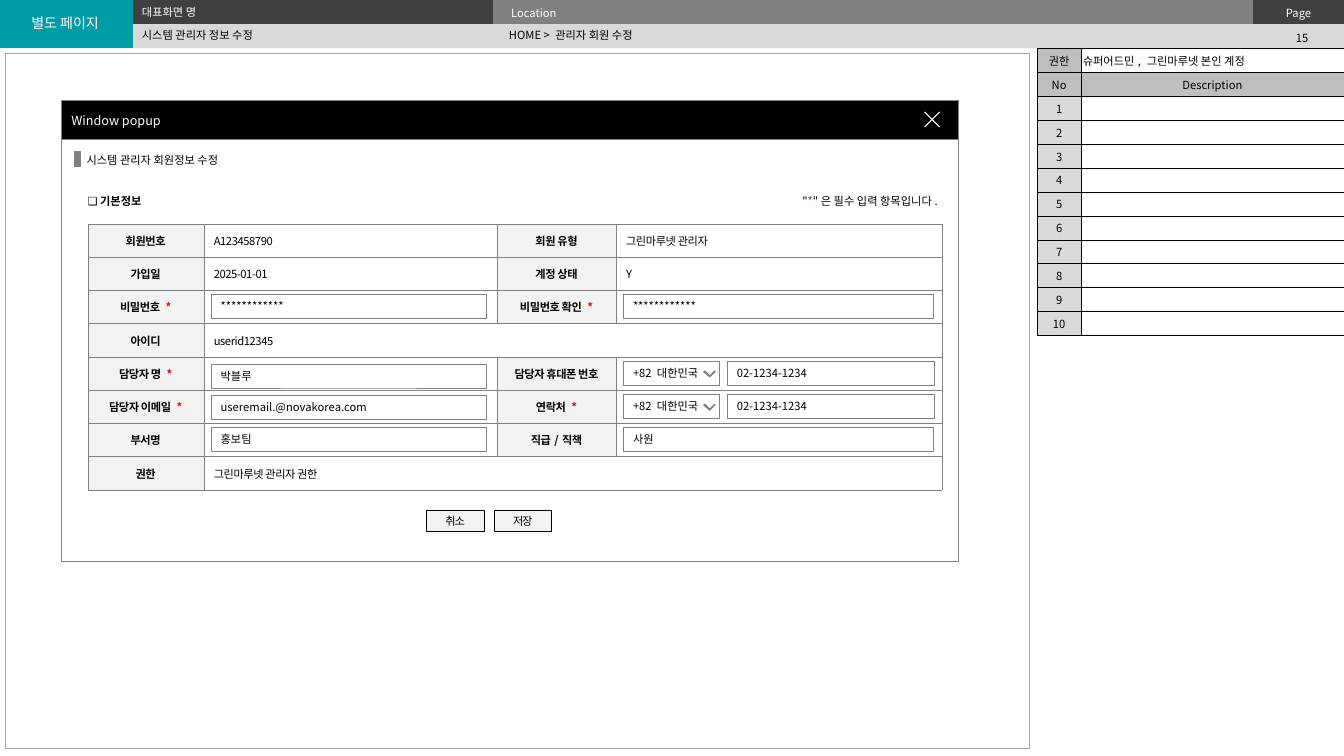
from lxml import etree
from pptx import Presentation
from pptx.dml.color import RGBColor
from pptx.enum.shapes import MSO_CONNECTOR, MSO_SHAPE
from pptx.enum.text import MSO_ANCHOR, PP_ALIGN
from pptx.oxml.ns import qn
from pptx.util import Inches, Pt

FONT = "Noto Sans CJK KR"
NO_STYLE = "{2D5ABB26-0587-4C30-8999-92F81FD0307C}"
LEFT, CENTER, RIGHT = PP_ALIGN.LEFT, PP_ALIGN.CENTER, PP_ALIGN.RIGHT
TOP, MIDDLE = MSO_ANCHOR.TOP, MSO_ANCHOR.MIDDLE
RECTANGLE, STRAIGHT = MSO_SHAPE.RECTANGLE, MSO_CONNECTOR.STRAIGHT

BLACK = RGBColor(0x00, 0x00, 0x00)
WHITE = RGBColor(0xFF, 0xFF, 0xFF)
RED = RGBColor(0xFF, 0x00, 0x00)
TEAL = RGBColor(0x00, 0x9C, 0xA6)
CHARCOAL = RGBColor(0x40, 0x40, 0x40)
ARROW = RGBColor(0x5F, 0x5F, 0x5F)
GRAY = RGBColor(0x80, 0x80, 0x80)
FRAME = RGBColor(0xA6, 0xA6, 0xA6)
SILVER = RGBColor(0xBF, 0xBF, 0xBF)
PALE = RGBColor(0xD9, 0xD9, 0xD9)
LABEL = RGBColor(0xF2, 0xF2, 0xF2)


def write(frame, text, color=BLACK, size=8, bold=False, align=LEFT, spacing=0):
    """Fill a text frame; a single asterisk is the red mark of a required field."""
    frame.word_wrap = True
    paragraph = frame.paragraphs[0]
    paragraph.alignment = align
    for part in text.partition("*") if text.count("*") == 1 else [text]:
        if not part:
            continue
        run = paragraph.add_run()
        run.text = part
        font = run.font
        font.name, font.size, font.bold = FONT, Pt(size), bold
        font.color.rgb = RED if part == "*" else color
        properties = run._r.get_or_add_rPr()
        properties.set("spc", str(spacing))
        etree.SubElement(properties, qn("a:ea")).set("typeface", FONT)
    if not text:
        paragraph._p.get_or_add_endParaRPr().set("sz", str(size * 100))


def box(left, top, width, height, text="", fill=WHITE, line=GRAY, weight=0.25,
        margin=0.1, **style):
    shape = slide.shapes.add_shape(
        RECTANGLE, Inches(left), Inches(top), Inches(width), Inches(height))
    shape.shadow.inherit = False
    shape.fill.solid()
    shape.fill.fore_color.rgb = fill
    shape.line.color.rgb = line
    shape.line.width = Pt(weight)
    frame = shape.text_frame
    frame.vertical_anchor = MIDDLE
    frame.margin_left = frame.margin_right = Inches(margin)
    frame.margin_top = frame.margin_bottom = Inches(margin / 2)
    write(frame, text, **style)


prs = Presentation()
prs.slide_width, prs.slide_height = Inches(13.33), Inches(7.5)
slide = prs.slides.add_slide(prs.slide_layouts[6])

# Screen frame and popup window
POPUP_LEFT, POPUP_WIDTH = 0.61, 8.9
box(0.05, 0.53, 10.16, 6.89, line=FRAME)
box(POPUP_LEFT, 1.38, POPUP_WIDTH, 4.19, weight=0.5)
box(POPUP_LEFT, 1, POPUP_WIDTH, 0.38, "Window popup", fill=BLACK, weight=0.5,
    color=WHITE, size=9)

# Contents of the header, the description panel and the member form
header = [
    [("", TEAL, LEFT, False), ("", CHARCOAL, LEFT, False),
     ("Location", GRAY, LEFT, False), ("Page", CHARCOAL, CENTER, False)],
    [("", PALE, LEFT, False)] * 4,
]
description = [
    [("권한", SILVER, CENTER, False),
     ("슈퍼어드민, 그린마루넷 본인 계정", WHITE, LEFT, False)],
    [("No", SILVER, CENTER, False), ("Description", SILVER, CENTER, False)],
]
description += [[(str(number), PALE, CENTER, False), ("", WHITE, LEFT, False)]
                for number in range(1, 11)]
member_fields = [
    ("회원번호", "A123458790", "회원 유형", "그린마루넷 관리자"),
    ("가입일", "2025-01-01", "계정 상태", "Y"),
    ("비밀번호 *", "", "비밀번호 확인 *", ""),
    ("아이디", "userid12345"),
    ("담당자 명 *", "", "담당자 휴대폰 번호", ""),
    ("담당자 이메일 *", "", "연락처 *", ""),
    ("부서명", "", "직급/직책", ""),
    ("권한", "그린마루넷 관리자 권한"),
]
member = [[(text, WHITE, LEFT, False) if column % 2 else (text, LABEL, CENTER, True)
           for column, text in enumerate(fields)] for fields in member_fields]

# Tables: left, top, columns, row height, margins, border, text colour, spacing
FORM_LEFT, FORM_TOP, FORM_ROW = 0.87, 2.22, 0.33
FORM_COLUMNS = [1.15, 2.91, 1.18, 3.23]
tables = [
    (header, 0, 0, [1.32, 3.57, 7.54, 0.9], 0.23, (0.18, 0.04), None, WHITE, 0),
    (description, 10.29, 0.48, [0.43, 2.61], 2.85 / 12, (0.02, 0.03),
     (BLACK, 0.5), BLACK, 0),
    (member, FORM_LEFT, FORM_TOP, FORM_COLUMNS, FORM_ROW, (0.1, 0.05),
     (GRAY, 0.25), BLACK, -30),
]
for rows, left, top, columns, row_height, margins, border, color, spacing in tables:
    table = slide.shapes.add_table(
        len(rows), len(columns), Inches(left), Inches(top),
        Inches(sum(columns)), Inches(row_height * len(rows))).table
    table.first_row = table.horz_banding = False
    table._tbl.tblPr.find(qn("a:tableStyleId")).text = NO_STYLE
    for column, width in zip(table.columns, columns):
        column.width = Inches(width)
    for row_index, row in enumerate(rows):
        table.rows[row_index].height = Inches(row_height)
        for column_index in range(len(columns)):
            cell = table.cell(row_index, column_index)
            text, fill, align, bold = (
                row[column_index] if column_index < len(row) else ("", WHITE, LEFT, False))
            cell.margin_left = cell.margin_right = Inches(margins[0])
            cell.margin_top = cell.margin_bottom = Inches(margins[1])
            cell.vertical_anchor = MIDDLE
            cell.fill.solid()
            cell.fill.fore_color.rgb = fill
            write(cell.text_frame, text, color, bold=bold, align=align, spacing=spacing)
            if border:
                properties = cell._tc.get_or_add_tcPr()
                for position, side in enumerate(("lnL", "lnR", "lnT", "lnB")):
                    edge = etree.Element(qn("a:" + side), w=str(Pt(border[1])))
                    solid = etree.SubElement(edge, qn("a:solidFill"))
                    etree.SubElement(solid, qn("a:srgbClr")).set("val", str(border[0]))
                    properties.insert(position, edge)
        if len(row) < len(columns):
            table.cell(row_index, len(row) - 1).merge(
                table.cell(row_index, len(columns) - 1))
    if rows is header:
        table.cell(0, 0).merge(table.cell(1, 0))

# Header texts and popup headings
captions = [
    (0.08, 0.09, 1.13, 0.27, "별도 페이지", TOP, dict(color=WHITE, size=10, align=CENTER)),
    (1.31, 0, 3.62, 0.24, "대표화면 명", MIDDLE, dict(color=WHITE)),
    (1.31, 0.24, 3.63, 0.22, "시스템 관리자 정보 수정", MIDDLE, {}),
    (4.95, 0.24, 3.63, 0.22, "HOME > 관리자 회원 수정", MIDDLE, {}),
    (12.48, 0.26, 0.87, 0.24, "15", TOP, dict(align=CENTER)),
    (0.76, 1.47, 2.41, 0.24, "시스템 관리자 회원정보 수정", TOP, {}),
    (0.77, 1.88, 1.2, 0.24, "❏ 기본정보", TOP, dict(bold=True)),
    (7.2, 1.88, 2.2, 0.24, '"*"은 필수 입력 항목입니다.', TOP, dict(align=RIGHT)),
]
for left, top, width, height, text, anchor, style in captions:
    caption = slide.shapes.add_textbox(
        Inches(left), Inches(top), Inches(width), Inches(height))
    caption.text_frame.vertical_anchor = anchor
    write(caption.text_frame, text, **style)

# Heading bar
heading_bar = slide.shapes.add_connector(
    STRAIGHT, Inches(0.77), Inches(1.5), Inches(0.77), Inches(1.66))
heading_bar.line.color.rgb = GRAY
heading_bar.line.width = Pt(4.5)
etree.SubElement(heading_bar._element.spPr, qn("a:effectLst"))

# Input fields: form row, column, offset and width inside the cell, text, nudge down
PHONE_ROWS = (4, 5)
inputs = [
    (2, 1, 0.07, 2.73, "************", 0),
    (2, 3, 0.07, 3.08, "************", 0),
    (4, 1, 0.07, 2.73, "박블루", 0.03),
    (5, 1, 0.07, 2.73, "useremail.@novakorea.com", 0.01),
    (6, 1, 0.07, 2.73, "홍보팀", 0),
    (6, 3, 0.07, 3.08, "사원", 0),
]
for row in PHONE_ROWS:
    inputs += [(row, 3, 0.07, 0.95, "+82 대한민국", 0),
               (row, 3, 1.1, 2.06, "02-1234-1234", 0)]
for row, column, offset, width, text, nudge in inputs:
    box(FORM_LEFT + sum(FORM_COLUMNS[:column]) + offset,
        FORM_TOP + FORM_ROW * row + 0.04 + nudge, width, 0.24, text)

# Close cross and dropdown arrows
cross = slide.shapes.build_freeform(Inches(9.32), Inches(1.11), 1.0)
cross.add_line_segments([(Inches(9.17), Inches(1.26))], close=False)
cross.move_to(Inches(9.17), Inches(1.11))
cross.add_line_segments([(Inches(9.32), Inches(1.26))], close=False)
close_icon = cross.convert_to_shape()
close_icon.fill.background()
icons = [(close_icon, WHITE)]
for row in PHONE_ROWS:
    tip = FORM_TOP + FORM_ROW * row + 0.2
    points = [(Inches(7.04 + dx), Inches(tip + dy)) for dx, dy in (
        (0.05, -0.05), (0.05, -0.06), (0, -0.01), (-0.05, -0.06), (-0.06, -0.05), (0, 0))]
    outline = slide.shapes.build_freeform(*points[0], 1.0)
    outline.add_line_segments(points[1:], close=True)
    arrow = outline.convert_to_shape()
    arrow.fill.solid()
    arrow.fill.fore_color.rgb = ARROW
    icons.append((arrow, GRAY))
for icon, color in icons:
    icon.shadow.inherit = False
    icon.line.color.rgb = color
    icon.line.width = Pt(0.75)

# Buttons
for index, text in enumerate(("취소", "저장")):
    box(4.23 + 0.67 * index, 5.06, 0.57, 0.21, text, fill=LABEL, line=BLACK,
        margin=0, align=CENTER, spacing=-90)

prs.save("out.pptx")
